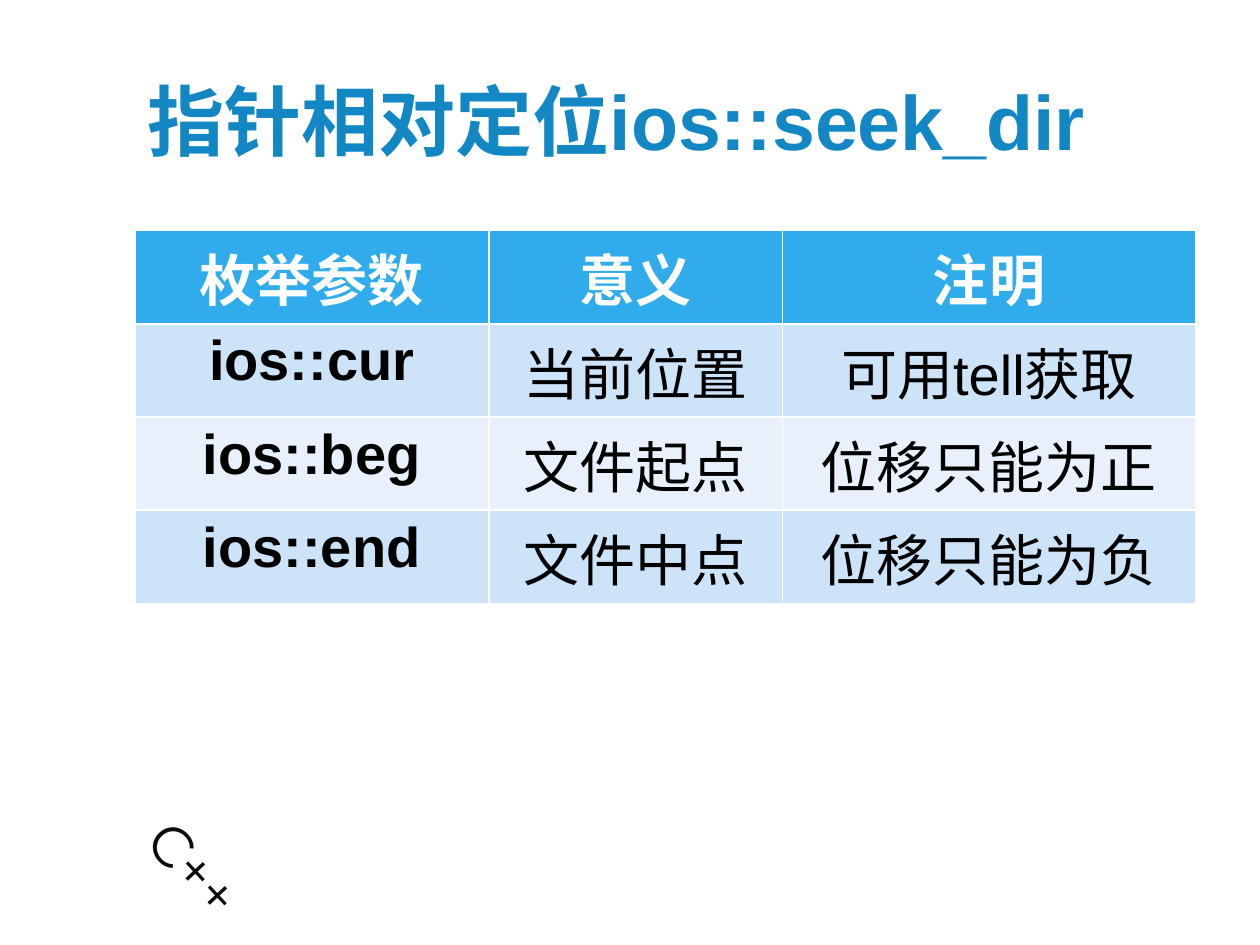
from typing import NamedTuple

from pptx import Presentation
from pptx.dml.color import RGBColor
from pptx.enum.text import MSO_ANCHOR, MSO_AUTO_SIZE, PP_ALIGN
from pptx.util import Inches, Pt

TITLE_BLUE = RGBColor(0x12, 0x87, 0xC3)
HEADER_BLUE = RGBColor(0x30, 0xAC, 0xEC)
BAND_DARK = RGBColor(0xCD, 0xE3, 0xF8)
BAND_LIGHT = RGBColor(0xE8, 0xF1, 0xFB)
WHITE = RGBColor(0xFF, 0xFF, 0xFF)
BLACK = RGBColor(0x00, 0x00, 0x00)
MARK_BLACK = RGBColor(0x0D, 0x0D, 0x0D)

LEFT, WIDTH = Inches(1.07), Inches(8.43)
COLUMN_WIDTHS = (2.81, 2.33, 3.28)
ROW_HEIGHT = Inches(0.74)


class SeekDir(NamedTuple):
    parameter: str
    meaning: str
    remark: str


HEADER = SeekDir("枚举参数", "意义", "注明")
SEEK_DIRS = [
    SeekDir("ios::cur", "当前位置", "可用tell获取"),
    SeekDir("ios::beg", "文件起点", "位移只能为正"),
    SeekDir("ios::end", "文件中点", "位移只能为负"),
]


def add_run(paragraph, text: str, size: float, color: RGBColor,
            bold: bool = False, font: str = "Arial") -> None:
    run = paragraph.add_run()
    run.text = text
    run.font.name = font
    run.font.size = Pt(size)
    run.font.bold = bold
    run.font.color.rgb = color


def add_language_mark(slide) -> None:
    mark = slide.shapes.add_textbox(Inches(0.94), Inches(6.78), Inches(1.61), Inches(0.64))
    mark.rotation = 46.9
    frame = mark.text_frame
    frame.word_wrap = True
    frame.auto_size = MSO_AUTO_SIZE.SHAPE_TO_FIT_TEXT
    add_run(frame.paragraphs[0], "C++", 32, MARK_BLACK, font="Montserrat")


def fill_title(slide) -> None:
    title = slide.shapes.title
    title.left, title.top, title.width, title.height = LEFT, Inches(0.29), WIDTH, Inches(1.32)
    title.text_frame.vertical_anchor = MSO_ANCHOR.MIDDLE
    paragraph = title.text_frame.paragraphs[0]
    paragraph.alignment = PP_ALIGN.LEFT
    add_run(paragraph, "指针相对定位ios::seek_dir", 44, TITLE_BLUE, bold=True)


def fill_row(table, index: int, entry: SeekDir) -> None:
    """The header and the first column are bold; body rows alternate in shade."""
    is_header = index == 0
    fill = HEADER_BLUE if is_header else BAND_DARK if index % 2 else BAND_LIGHT
    for column, text in enumerate(entry):
        cell = table.cell(index, column)
        cell.fill.solid()
        cell.fill.fore_color.rgb = fill
        paragraph = cell.text_frame.paragraphs[0]
        paragraph.alignment = PP_ALIGN.CENTER
        add_run(paragraph, text, 32, WHITE if is_header else BLACK,
                bold=is_header or column == 0)


def add_seek_table(slide) -> None:
    entries = [HEADER, *SEEK_DIRS]
    table = slide.shapes.add_table(len(entries), len(COLUMN_WIDTHS), LEFT, Inches(1.83),
                                   WIDTH, ROW_HEIGHT * len(entries)).table
    for column, width in zip(table.columns, COLUMN_WIDTHS):
        column.width = Inches(width)
    for index, entry in enumerate(entries):
        fill_row(table, index, entry)


def main() -> None:
    deck = Presentation()
    deck.slide_width, deck.slide_height = Inches(10), Inches(7.5)
    title_only = deck.slide_layouts.get_by_name("Title Only")
    slide = deck.slides.add_slide(title_only)
    add_language_mark(slide)
    fill_title(slide)
    add_seek_table(slide)
    deck.save("out.pptx")


if __name__ == "__main__":
    main()
